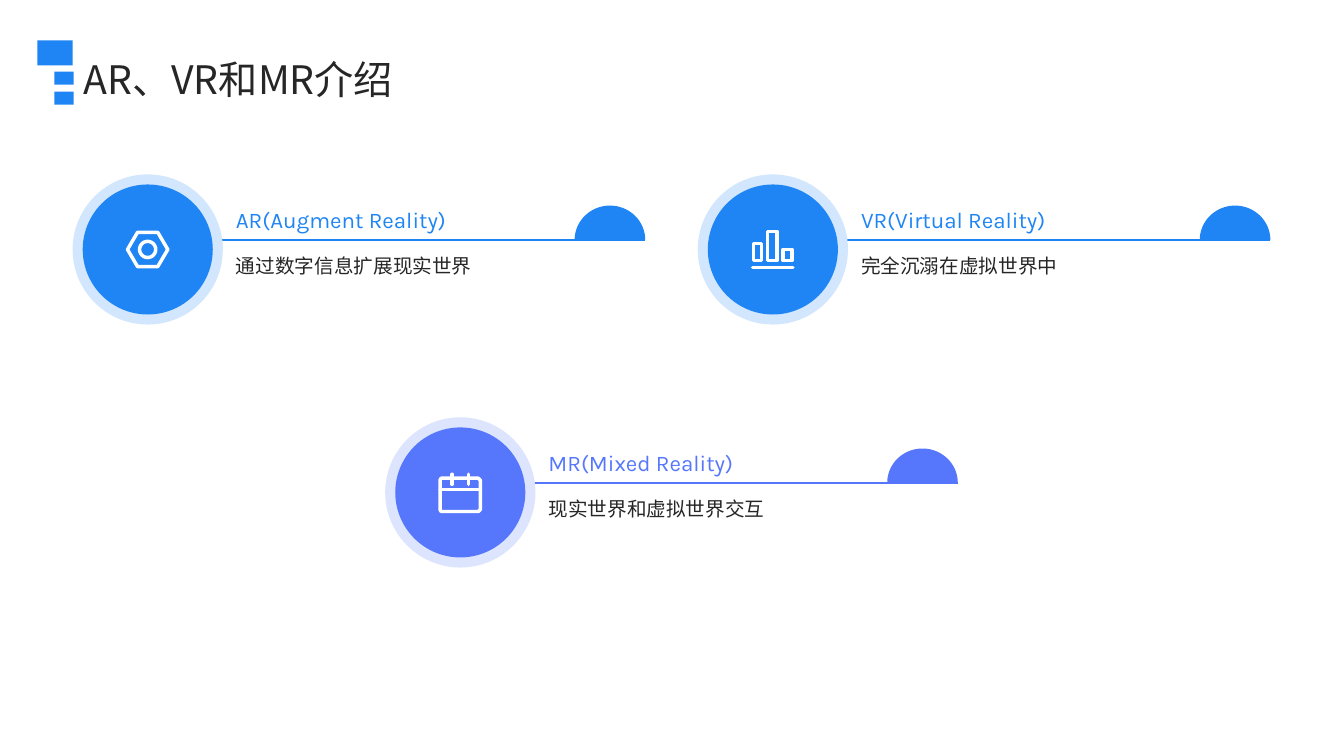
from dataclasses import dataclass
from math import cos, pi, sin

from lxml.etree import SubElement
from pptx import Presentation
from pptx.dml.color import RGBColor
from pptx.enum.lang import MSO_LANGUAGE_ID
from pptx.enum.shapes import MSO_CONNECTOR, MSO_SHAPE
from pptx.enum.text import MSO_ANCHOR, MSO_AUTO_SIZE, PP_ALIGN
from pptx.oxml.ns import qn
from pptx.util import Inches, Pt


@dataclass(frozen=True)
class Theme:
    blue: str = "1F85F4"
    sky: str = "D2E7FD"
    violet: str = "5677FC"
    mist: str = "DDE4FE"
    ink: str = "262626"
    white: str = "FFFFFF"
    latin: str = "Karla"
    asian: str = "Noto Sans CJK SC"
    title: int = 28
    head: int = 16
    body: int = 14
    rule: float = 1
    stroke: float = 2.5


theme = Theme()


def paint(shape, color):
    shape.shadow.inherit = False
    shape.fill.solid()
    shape.fill.fore_color.rgb = RGBColor.from_string(color)
    shape.line.fill.background()


def write(shape, text, size, face, color, anchor):
    frame = shape.text_frame
    frame.text = text
    frame.word_wrap = True
    frame.auto_size = MSO_AUTO_SIZE.NONE
    frame.vertical_anchor = anchor
    frame.margin_left = frame.margin_right = 0
    frame.margin_top = frame.margin_bottom = 0
    line = frame.paragraphs[0]
    line.alignment = PP_ALIGN.LEFT
    font = line.runs[0].font
    font.size = Pt(size)
    font.name = face
    font.color.rgb = RGBColor.from_string(color)
    font.language_id = MSO_LANGUAGE_ID.SIMPLIFIED_CHINESE
    props = line.runs[0]._r.get_or_add_rPr()
    SubElement(props, qn("a:ea")).set("typeface", theme.asian)


# Icon strokes, measured in inches from the disc centre
ring = [(0.08 * cos(pi * n / 16), 0.08 * sin(pi * n / 16)) for n in range(33)]
nut = [
    [(-0.2, 0), (-0.1, -0.17), (0.1, -0.17), (0.2, 0),
     (0.1, 0.17), (-0.1, 0.17), (-0.2, 0)],
    ring,
]
chart = [[(-0.2, 0.18), (0.2, 0.18)]]
for left, top, right in [(-0.19, -0.06, -0.11), (-0.05, -0.18, 0.04), (0.1, 0, 0.19)]:
    chart.append([(left, top), (right, top), (right, 0.11), (left, 0.11), (left, top)])
planner = [
    [(-0.2, -0.12), (-0.19, -0.14), (0.18, -0.14), (0.2, -0.12), (0.2, 0.17),
     (0.18, 0.19), (-0.19, 0.19), (-0.2, 0.17), (-0.2, -0.12)],
    [(-0.2, -0.03), (0.2, -0.03)],
    [(-0.08, -0.18), (-0.08, -0.08)],
    [(0.08, -0.18), (0.08, -0.08)],
]

# Slide and title
deck = Presentation()
deck.slide_width, deck.slide_height = Inches(13.33), Inches(7.5)
slide = deck.slides.add_slide(deck.slide_layouts[5])
shapes = slide.shapes
title = shapes.title
title.left, title.top = Inches(0.83), Inches(0.53)
title.width, title.height = Inches(11.88), Inches(0.51)
write(title, "AR、VR和MR介绍", theme.title, theme.asian, theme.ink, MSO_ANCHOR.MIDDLE)

# Cards: left, top, heading, note, colour, halo colour, icon
cards = [
    (0.72, 1.73, "AR(Augment Reality)", "通过数字信息扩展现实世界",
     theme.blue, theme.sky, nut),
    (6.92, 1.73, "VR(Virtual Reality)", "完全沉溺在虚拟世界中",
     theme.blue, theme.sky, chart),
    (3.82, 4.14, "MR(Mixed Reality)", "现实世界和虚拟世界交互",
     theme.violet, theme.mist, planner),
]
for x, y, head, note, color, pale, icon in cards:
    # Rule
    base = y + 0.65
    rule = shapes.add_connector(
        MSO_CONNECTOR.STRAIGHT,
        Inches(x + 1.34), Inches(base), Inches(x + 5.68), Inches(base))
    rule.line.width = Pt(theme.rule)
    rule.line.color.rgb = RGBColor.from_string(color)
    SubElement(rule._element.spPr, qn("a:effectLst"))

    # Halo and disc
    for inset, tone in [(0, pale), (0.1, color)]:
        side = Inches(1.49 - 2 * inset)
        disc = shapes.add_shape(
            MSO_SHAPE.OVAL, Inches(x + inset), Inches(y + inset), side, side)
        paint(disc, tone)

    # Heading and note
    box = shapes.add_textbox(
        Inches(x + 1.62), Inches(y - 0.25), Inches(3.24), Inches(0.83))
    write(box, head, theme.head, theme.latin, color, MSO_ANCHOR.BOTTOM)
    box = shapes.add_textbox(
        Inches(x + 1.62), Inches(y + 0.79), Inches(4.06), Inches(1.23))
    write(box, note, theme.body, theme.latin, theme.ink, MSO_ANCHOR.TOP)

    # Half disc on the rule
    arc = [(Inches(x + 5.33 - 0.35 * cos(pi * n / 40)),
            Inches(base - 0.34 * sin(pi * n / 40))) for n in range(41)]
    pen = shapes.build_freeform(*arc[0])
    pen.add_line_segments(arc[1:], close=True)
    paint(pen.convert_to_shape(), color)

    # Icon
    mid = x + 0.745, y + 0.745
    lines = [[(Inches(mid[0] + a), Inches(mid[1] + b)) for a, b in path]
             for path in icon]
    pen = shapes.build_freeform(*lines[0][0])
    for path in lines:
        pen.move_to(*path[0])
        pen.add_line_segments(path[1:], close=False)
    mark = pen.convert_to_shape()
    mark.shadow.inherit = False
    mark.fill.background()
    mark.line.width = Pt(theme.stroke)
    mark.line.color.rgb = RGBColor.from_string(theme.white)
    edge = mark._element.spPr.find(qn("a:ln"))
    edge.set("cap", "rnd")
    SubElement(edge, qn("a:round"))

# Corner blocks
for left, top, width, height in [
        (0.37, 0.4, 0.35, 0.25), (0.54, 0.71, 0.19, 0.13), (0.54, 0.91, 0.19, 0.13)]:
    block = shapes.add_shape(
        MSO_SHAPE.RECTANGLE, Inches(left), Inches(top), Inches(width), Inches(height))
    paint(block, theme.blue)

deck.save("out.pptx")
